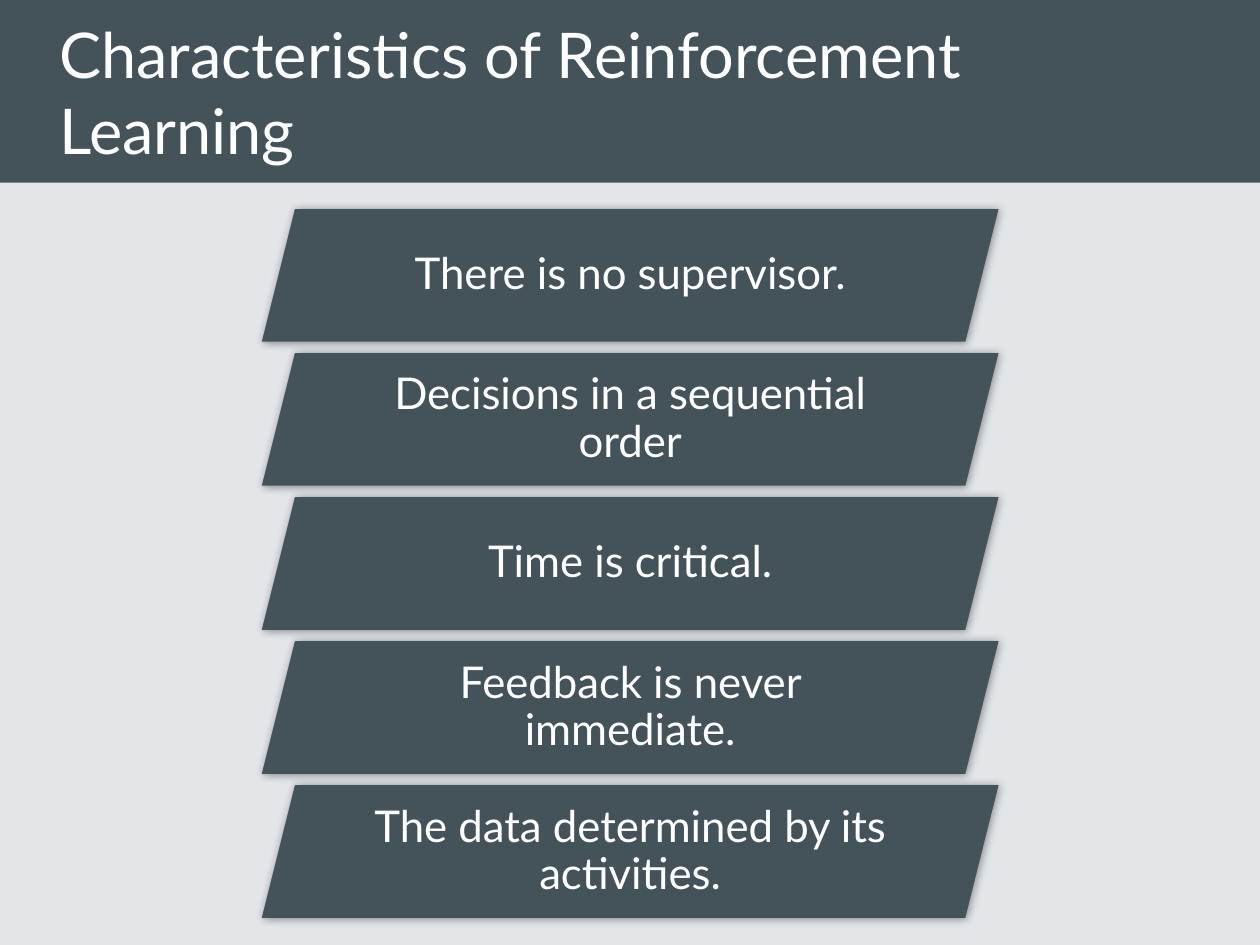
import pptx
import pptx.util
import pptx.dml.color
import pptx.enum.shapes
import pptx.enum.text
import pptx.oxml
import pptx.oxml.ns

Pt = pptx.util.Pt
RGBColor = pptx.dml.color.RGBColor
MSO_SHAPE = pptx.enum.shapes.MSO_SHAPE
PP_ALIGN = pptx.enum.text.PP_ALIGN

SLATE = RGBColor(0x44, 0x52, 0x5A)
PALE = RGBColor(0xE3, 0xE6, 0xE9)
WHITE = RGBColor(0xFF, 0xFF, 0xFF)

SHADOW = (
    f'<a:effectLst {pptx.oxml.ns.nsdecls("a")}>'
    '<a:outerShdw blurRad="63500" dist="0" algn="ctr" rotWithShape="0">'
    '<a:srgbClr val="000000"><a:alpha val="40000"/></a:srgbClr>'
    '</a:outerShdw></a:effectLst>'
)


def write(tf, text, size, align, font="Lato", color=WHITE, spacing=1.0, inset=(7.2, 3.6)):
    """Put one formatted paragraph, vertically centred, in a text frame."""
    tf.word_wrap = True
    tf.auto_size = pptx.enum.text.MSO_AUTO_SIZE.NONE
    tf.vertical_anchor = pptx.enum.text.MSO_ANCHOR.MIDDLE
    tf.margin_left = tf.margin_right = Pt(inset[0])
    tf.margin_top = tf.margin_bottom = Pt(inset[1])
    p = tf.paragraphs[0]
    p.alignment, p.line_spacing = align, spacing
    r = p.add_run()
    r.text = text
    r.font.name, r.font.size, r.font.color.rgb = font, Pt(size), color


class Deck:
    """Holds the style and the current slide."""

    def __init__(self, width, height):
        self.prs = pptx.Presentation()
        self.prs.slide_width, self.prs.slide_height = Pt(width), Pt(height)
        self.fill = SLATE

    def slide(self, background):
        self.s = self.prs.slides.add_slide(self.prs.slide_layouts[5])
        self.s.background.fill.solid()
        self.s.background.fill.fore_color.rgb = background

    def shape(self, kind, x, y, w, h):
        sp = self.s.shapes.add_shape(kind, Pt(x), Pt(y), Pt(w), Pt(h))
        sp.fill.solid()
        sp.fill.fore_color.rgb = self.fill
        sp.line.fill.background()
        sp.shadow.inherit = False
        return sp

    def title(self, text, x, y, w, h):
        sp = self.s.shapes.title
        sp.left, sp.top, sp.width, sp.height = Pt(x), Pt(y), Pt(w), Pt(h)
        write(sp.text_frame, text, 36, PP_ALIGN.LEFT)
        # The band lies behind the title
        band = self.shape(MSO_SHAPE.RECTANGLE, 0, y, 720, h)
        sp.element.addprevious(band.element)

    def card(self, text, x, y, w, h):
        sp = self.shape(MSO_SHAPE.PARALLELOGRAM, x, y, w, h)
        sppr = sp.element.spPr
        sppr.replace(sppr.find(pptx.oxml.ns.qn("a:effectLst")), pptx.oxml.parse_xml(SHADOW))
        write(sp.text_frame, text, 25, PP_ALIGN.CENTER, spacing=0.9, inset=(11.5, 7.2))


def main():
    deck = Deck(720, 540)
    deck.slide(PALE)

    # Title band
    deck.title("Characteristics of Reinforcement Learning", 26.6, 0, 660, 104.4)

    # Stacked characteristics
    characteristics = [
        "There is no supervisor.",
        "Decisions in a sequential order",
        "Time is critical.",
        "Feedback is never immediate.",
        "The data determined by its activities.",
    ]
    top, pitch = 119.5, 82.3
    for i, text in enumerate(characteristics):
        deck.card(text, 149.6, top + i * pitch, 421, 75.8)

    deck.prs.save("out.pptx")


if __name__ == "__main__":
    main()
